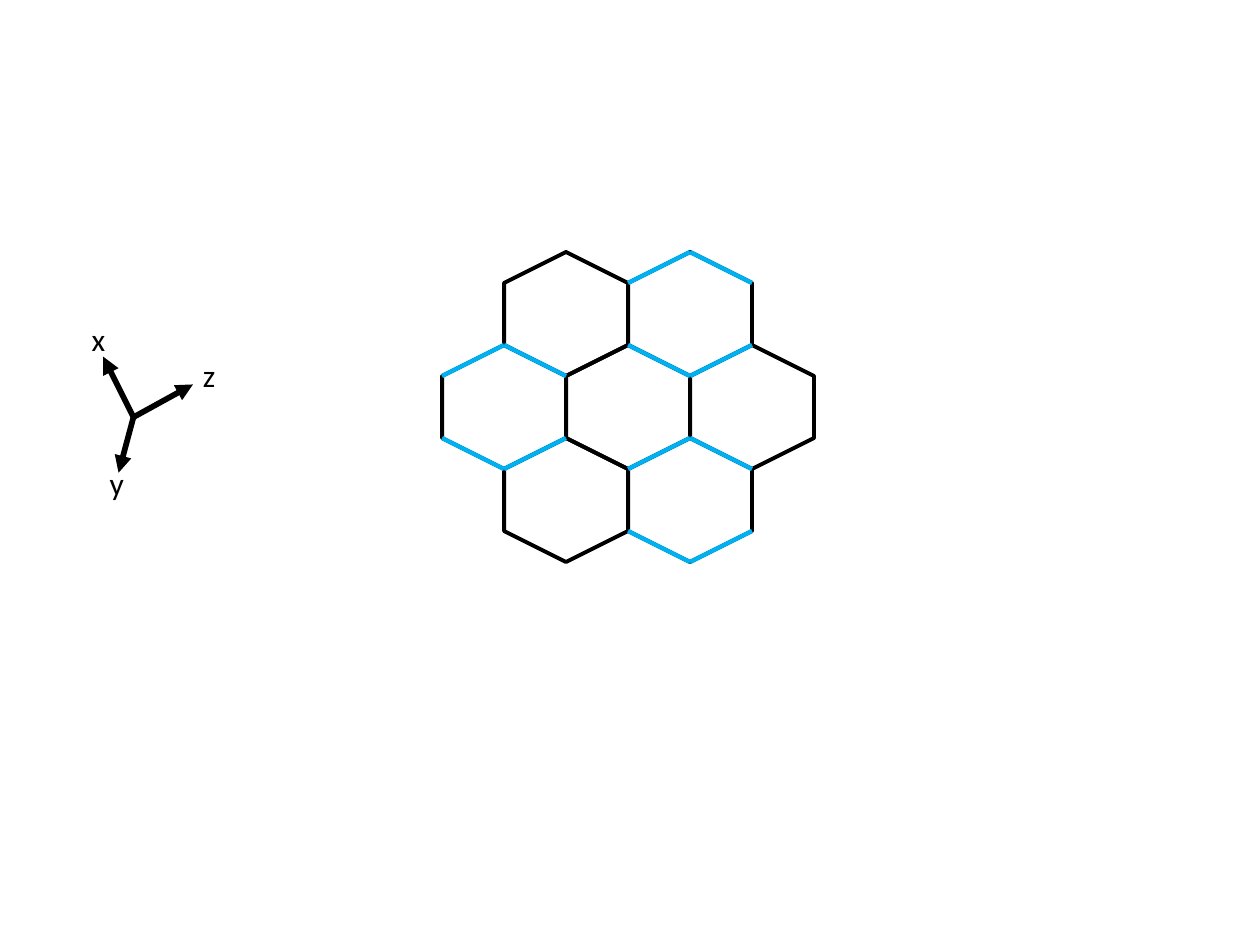
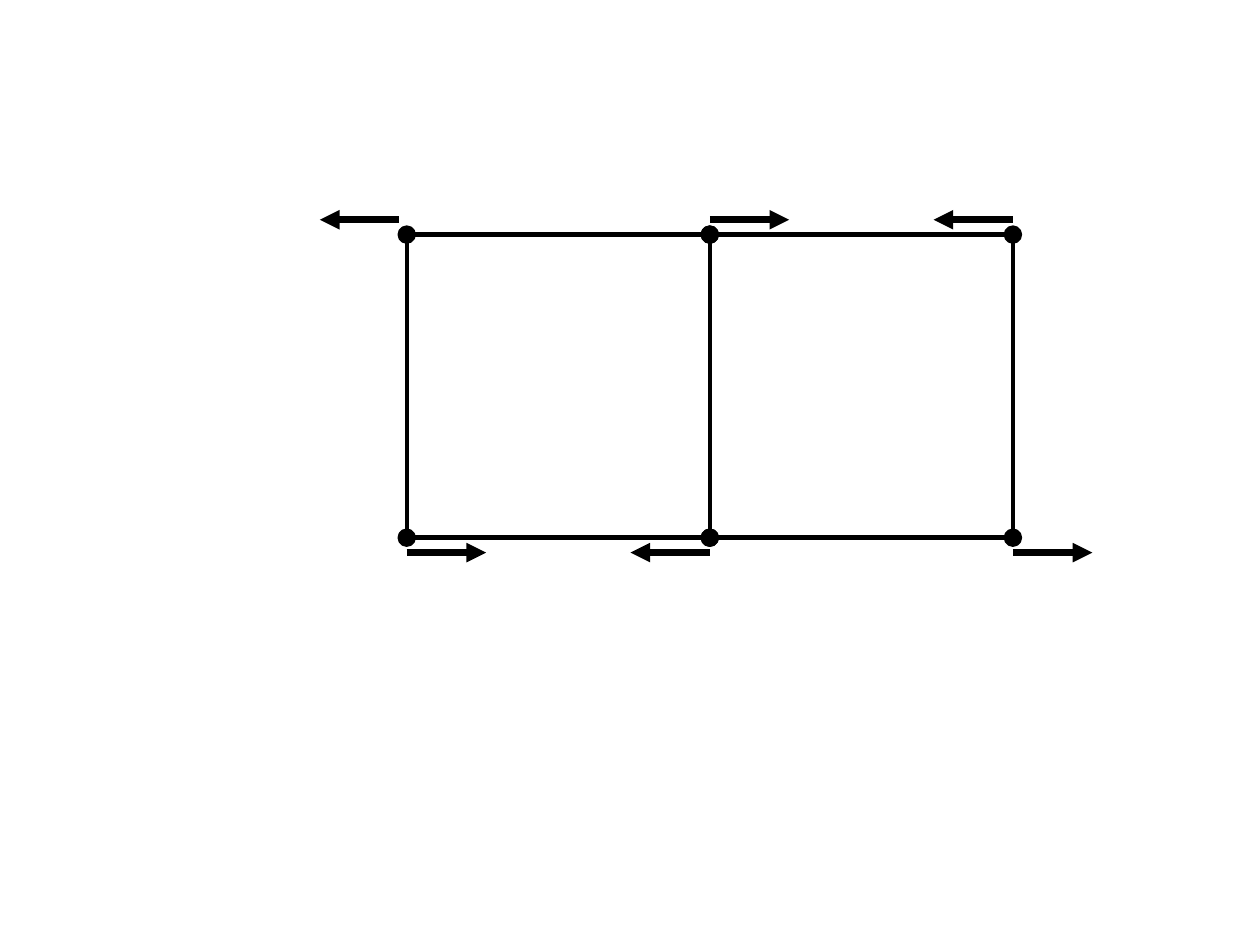
from dataclasses import dataclass
from itertools import product

from lxml import etree
from pptx import Presentation
from pptx.dml.color import RGBColor
from pptx.enum.shapes import MSO_CONNECTOR, MSO_SHAPE
from pptx.enum.text import MSO_AUTO_SIZE
from pptx.oxml.ns import qn
from pptx.util import Cm, Pt

HEX, RECT, OVAL = MSO_SHAPE.HEXAGON, MSO_SHAPE.RECTANGLE, MSO_SHAPE.OVAL
LINE = MSO_CONNECTOR.STRAIGHT
GROW = MSO_AUTO_SIZE.SHAPE_TO_FIT_TEXT


@dataclass(frozen=True)
class Theme:
    """Colours, type and line weights used on all slides."""
    ink: RGBColor = RGBColor(0, 0, 0)
    blue: RGBColor = RGBColor(0x00, 0xB0, 0xF0)
    font: str = "Calibri"
    text: float = 18
    comb: float = 2.25
    bond: float = 2.5
    axis: float = 3.25
    dot: float = 2
    force: float = 3.75


THEME = Theme()


def apply(item, values):
    """Set each named attribute of item."""
    for name, value in values.items():
        setattr(item, name, value)


def draw_line(shapes, start, end, color, weight, arrow=None):
    """Draw a line; arrow names the end that has a head."""
    line = shapes.add_connector(LINE, *map(Cm, (*start, *end)))
    line.line.color.rgb = color
    line.line.width = Pt(weight)
    props = line._element.spPr
    if arrow:
        etree.SubElement(props.find(qn("a:ln")), qn(f"a:{arrow}"), type="triangle")
    etree.SubElement(props, qn("a:effectLst"))


def draw_shape(shapes, kind, box, weight, fill=None, turn=0):
    """Draw an inked outline, filled if a colour is given."""
    shape = shapes.add_shape(kind, *map(Cm, box))
    shape.shadow.inherit = False
    apply(shape, {"rotation": turn})
    shape.line.color.rgb = THEME.ink
    shape.line.width = Pt(weight)
    if fill is None:
        shape.fill.background()
    else:
        shape.fill.solid()
        shape.fill.fore_color.rgb = fill


def draw_label(shapes, text, box):
    """Write one short label."""
    frame = shapes.add_textbox(*map(Cm, box)).text_frame
    apply(frame, {"word_wrap": True, "auto_size": GROW})
    run = frame.paragraphs[0].add_run()
    run.text = text
    apply(run.font, {"name": THEME.font, "size": Pt(THEME.text)})
    run.font.color.rgb = THEME.ink


def draw_comb(slide, left, top, size):
    """Draw seven hexagons, three of them with blue caps."""
    shapes = slide.shapes.add_group_shape().shapes
    half, slope = size / 2, size / 4
    cells = [(left + col * size + (half if row != 1 else 0), top + row * size * 0.75,
              (row, col) in ((0, 1), (1, 0), (2, 1)))
             for row, count in enumerate((2, 3, 2)) for col in range(count)]
    for x, y, _ in cells:
        draw_shape(shapes, HEX, (x, y, size, size), THEME.comb, turn=90)
    for x, y, capped in cells:
        if capped:
            for tip, base in ((y, y + slope), (y + size, y + size - slope)):
                for side in (x, x + size):
                    draw_line(shapes, (side, base), (x + half, tip), THEME.blue, THEME.bond)


def draw_axes(slide, left, top):
    """Draw three labelled arrows from one origin."""
    shapes = slide.shapes.add_group_shape().shapes
    x, y = left + 1.09, top + 2.09
    axes = (("z", (1.2, -0.66), (1.15, -1.35)),
            ("x", (-0.61, -1.22), (-1.09, -2.09)),
            ("y", (-0.3, 1.12), (-0.73, 0.81)))
    for name, tip, label in axes:
        draw_line(shapes, (x, y), (x + tip[0], y + tip[1]), THEME.ink, THEME.axis, "tailEnd")
        draw_label(shapes, name, (x + label[0], y + label[1], 1.5, 1.02))


def draw_cell(slide, left, top, side, dot):
    """Draw a square with a dot on each corner."""
    draw_shape(slide.shapes, RECT, (left, top, side, side), THEME.bond)
    for col, row in product(range(2), repeat=2):
        box = (left + col * side - dot / 2, top + row * side - dot / 2, dot, dot)
        draw_shape(slide.shapes, OVAL, box, THEME.dot, THEME.ink)


def draw_forces(slide, left, top, side, reach, gap):
    """Draw arrows of alternating sense above and below the nodes."""
    for row, col in product(range(2), range(3)):
        x = left + col * side
        y = top + row * side + (gap if row else -gap)
        if (row + col) % 2:
            head = "tailEnd"
        else:
            head = "headEnd"
            x -= reach + (gap / 2 if col == 0 else 0)
        if row:
            head = "tailEnd" if col != 1 else "headEnd"
            x = left + col * side - (reach if col == 1 else 0)
        draw_line(slide.shapes, (x, y), (x + reach, y), THEME.ink, THEME.force, head)


def draw_frame(slide, left, top, side):
    """Draw two square cells and their forces."""
    for col in range(2):
        draw_cell(slide, left + col * side, top, side, 0.3)
    draw_forces(slide, left, top, side, 1.6, 0.3)


def main():
    """Build both slides and save them."""
    deck = Presentation()
    apply(deck, {"slide_width": Cm(25.4), "slide_height": Cm(19.05)})
    first, second = (deck.slides.add_slide(deck.slide_layouts[6]) for _ in range(2))
    draw_comb(first, 8.91, 5.08, 2.5)
    draw_axes(first, 1.6, 6.32)
    draw_frame(second, 8.2, 4.73, 6.11)
    deck.save("out.pptx")


main()
